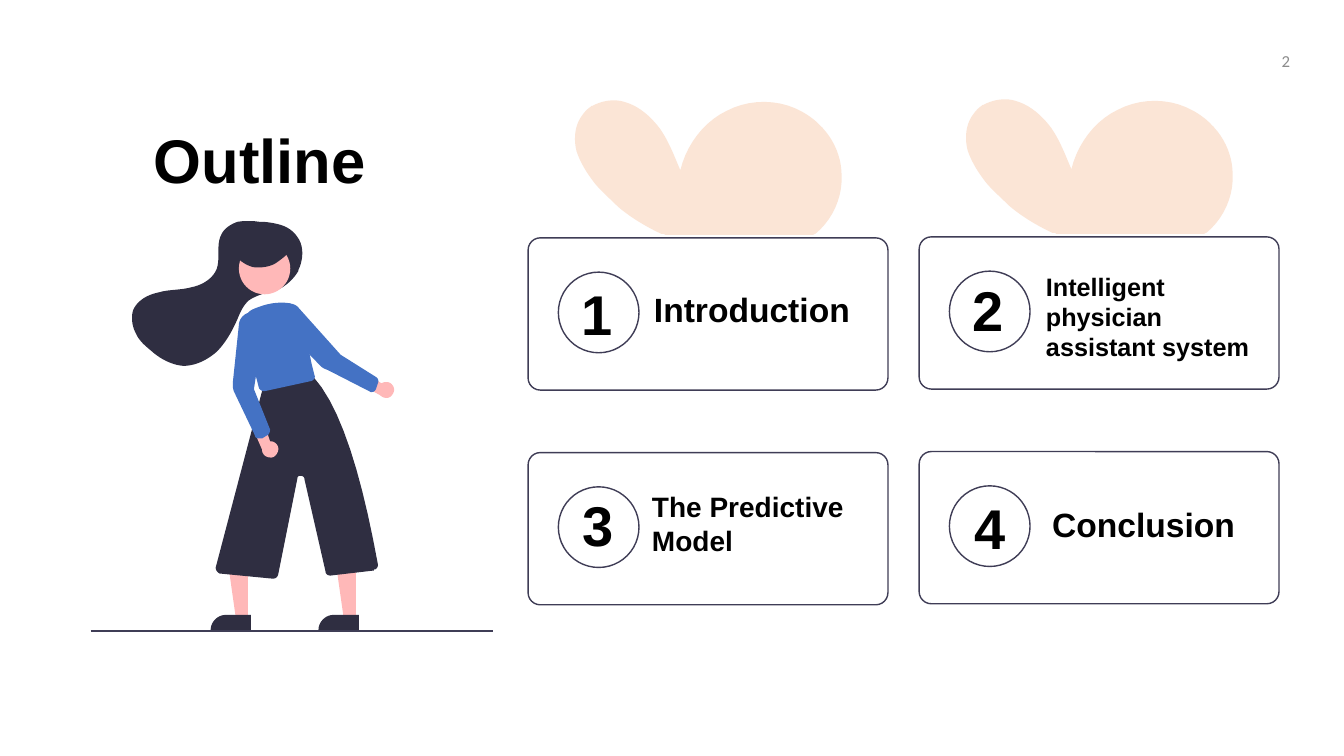
from pptx import Presentation
from pptx.dml.color import RGBColor
from pptx.enum.shapes import MSO_CONNECTOR, MSO_SHAPE
from pptx.enum.text import MSO_ANCHOR, PP_ALIGN
from pptx.util import Cm, Pt
from lxml.etree import SubElement
from pptx.oxml.ns import qn

COLORS = {"peach": "FBE5D6", "outline": "3F3D56", "dark": "2F2E41", "skin": "FFB8B8",
          "blue": "4472C4", "black": "000000", "gray": "8C8C8C"}

# Places are in inches; a pair is a line end, six numbers are a Bezier curve
TITLE = "Outline"
PAGE_NUMBER = "2"
# number, its place, label lines, label size, label place and size
CARDS = [
    ("1", (5.67, 2.72), ["Introduction"], 24, (6.39, 2.82, 2.23, 0.5)),
    ("2", (9.55, 2.68), ["Intelligent", "physician", "assistant system"], 18,
     (10.28, 2.64, 2.23, 1.01)),
    ("3", (5.68, 4.82), ["The Predictive Model"], 20, (6.37, 4.81, 2.68, 0.77)),
    ("4", (9.57, 4.85), ["Conclusion"], 24, (10.34, 4.95, 2.23, 0.5)),
]
CARD_LEFT, CARD_TOP, CARD_WIDTH, CARD_HEIGHT = 5.24, 2.36, 3.57, 1.51
COLUMN_STEP, ROW_STEP, COLUMN_RISE = 3.88, 2.13, -0.01
CIRCLE_INSET, CIRCLE_SIZE = (0.3, 0.34), 0.8

BLOB = [
    (8.09, 2.32), (8.09, 2.32, 8.08, 2.32, 8.07, 2.33), (6.6, 2.33),
    (6.59, 2.32, 6.58, 2.32, 6.56, 2.32), (6.41, 2.25, 6.26, 2.16, 6.13, 2.05),
    (6.05, 1.97, 5.97, 1.9, 5.91, 1.83), (5.83, 1.73, 5.76, 1.62, 5.72, 1.5),
    (5.69, 1.38, 5.7, 1.24, 5.78, 1.14), (5.8, 1.11, 5.83, 1.08, 5.86, 1.06),
    (5.87, 1.05, 5.87, 1.05, 5.88, 1.05), (5.97, 1, 6.09, 0.98, 6.19, 1.01),
    (6.34, 1.05, 6.46, 1.16, 6.55, 1.28), (6.64, 1.41, 6.69, 1.55, 6.75, 1.69),
    (6.81, 1.44, 6.98, 1.21, 7.21, 1.1), (7.44, 0.98, 7.73, 0.98, 7.96, 1.11),
    (8.03, 1.15, 8.1, 1.2, 8.15, 1.26), (8.16, 1.26, 8.16, 1.27, 8.17, 1.28),
    (8.28, 1.4, 8.35, 1.57, 8.35, 1.74), (8.36, 1.96, 8.26, 2.18, 8.09, 2.32)]
HAIR = [
    (2.96, 2.68), (3.01, 2.58, 3.02, 2.44, 2.95, 2.35), (2.91, 2.29, 2.85, 2.25, 2.78, 2.23),
    (2.71, 2.21, 2.64, 2.2, 2.57, 2.2), (2.5, 2.19, 2.43, 2.19, 2.36, 2.2),
    (2.3, 2.22, 2.23, 2.26, 2.2, 2.32), (2.14, 2.42, 2.19, 2.56, 2.15, 2.67),
    (2.11, 2.77, 2, 2.83, 1.9, 2.85), (1.79, 2.88, 1.68, 2.87, 1.58, 2.9),
    (1.47, 2.92, 1.36, 2.98, 1.32, 3.08), (1.3, 3.15, 1.31, 3.24, 1.35, 3.31),
    (1.38, 3.38, 1.44, 3.43, 1.5, 3.48), (1.59, 3.56, 1.7, 3.62, 1.82, 3.63),
    (1.94, 3.63, 2.06, 3.57, 2.15, 3.49), (2.24, 3.4, 2.3, 3.29, 2.35, 3.18),
    (2.38, 3.11, 2.41, 3.03, 2.47, 2.98), (2.51, 2.95, 2.57, 2.93, 2.62, 2.91),
    (2.69, 2.9), (2.8, 2.87, 2.9, 2.79, 2.96, 2.69)]
LEG = [(2.46, 6.13), (2.34, 6.13), (2.27, 5.64), (2.46, 5.64)]
SHOE = [(2.24, 6.1), (2.49, 6.1), (2.49, 6.25), (2.09, 6.25), (2.09, 6.17, 2.16, 6.1, 2.24, 6.1)]
LEG_STEP = 1.07
TROUSERS = [
    (2.71, 5.74), (2.7, 5.74), (2.18, 5.69), (2.16, 5.68, 2.14, 5.66, 2.14, 5.63),
    (2.6, 3.88), (2.61, 3.86, 2.62, 3.85, 2.64, 3.84), (3.06, 3.72),
    (3.08, 3.72, 3.1, 3.72, 3.11, 3.74), (3.39, 4.05, 3.59, 4.73, 3.75, 5.6),
    (3.75, 5.62, 3.74, 5.65, 3.71, 5.65), (3.71, 5.66), (3.28, 5.71),
    (3.26, 5.71, 3.23, 5.7, 3.23, 5.67), (3.02, 4.75), (3.02, 4.73, 3, 4.72, 2.98, 4.72),
    (2.96, 4.72, 2.95, 4.73, 2.95, 4.75), (2.76, 5.7), (2.75, 5.73, 2.73, 5.74, 2.71, 5.74)]
HEAD = (2.37, 2.41, 0.51, 0.51)
TORSO = [
    (2.62, 3.88), (2.6, 3.88, 2.58, 3.87, 2.57, 3.85), (2.42, 3.27),
    (2.4, 3.18, 2.44, 3.09, 2.53, 3.06), (2.65, 3.01, 2.77, 2.99, 2.88, 3.01),
    (2.97, 3.02, 3.09, 3.59, 3.09, 3.6), (3.12, 3.72), (3.13, 3.74, 3.12, 3.77, 3.09, 3.78),
    (2.63, 3.88)]
LEFT_HAND = [
    (2.76, 4.47), (2.77, 4.43, 2.74, 4.39, 2.7, 4.38), (2.68, 4.38), (2.59, 4.11),
    (2.5, 4.23), (2.6, 4.46), (2.6, 4.51, 2.64, 4.54, 2.69, 4.54),
    (2.72, 4.54, 2.75, 4.51, 2.76, 4.47)]
RIGHT_HAND = [
    (3.9, 3.83), (3.88, 3.79, 3.83, 3.78, 3.79, 3.8), (3.78, 3.8), (3.55, 3.65),
    (3.55, 3.8), (3.77, 3.92), (3.8, 3.95, 3.85, 3.96, 3.88, 3.93),
    (3.91, 3.9, 3.92, 3.86, 3.9, 3.83)]
LEFT_ARM = [
    (2.57, 4.35), (2.55, 4.35, 2.53, 4.34, 2.53, 4.32), (2.32, 3.88),
    (2.31, 3.85, 2.31, 3.82, 2.31, 3.8), (2.37, 3.23), (2.37, 3.16, 2.43, 3.1, 2.49, 3.1),
    (2.56, 3.1, 2.61, 3.15, 2.62, 3.21), (2.52, 3.86), (2.68, 4.26),
    (2.68, 4.29, 2.67, 4.31, 2.65, 4.32), (2.6, 4.35)]
RIGHT_ARM = [
    (3.68, 3.89), (3.66, 3.88), (3.25, 3.67), (3.22, 3.66, 3.2, 3.65, 3.18, 3.63),
    (2.78, 3.22), (2.73, 3.17, 2.73, 3.09, 2.78, 3.05), (2.82, 3, 2.9, 3, 2.95, 3.04),
    (3.38, 3.52), (3.73, 3.74), (3.75, 3.75, 3.76, 3.78, 3.75, 3.8), (3.73, 3.86),
    (3.72, 3.88, 3.71, 3.89, 3.68, 3.89)]
FRINGE = [
    (2.34, 2.54), (2.38, 2.59, 2.44, 2.63, 2.51, 2.65), (2.58, 2.66, 2.66, 2.65, 2.72, 2.62),
    (2.77, 2.59, 2.82, 2.55, 2.86, 2.51), (2.87, 2.49, 2.89, 2.47, 2.89, 2.45),
    (2.89, 2.41, 2.85, 2.39, 2.81, 2.38), (2.68, 2.36, 2.56, 2.37, 2.44, 2.42),
    (2.39, 2.45, 2.34, 2.49, 2.35, 2.54)]
GROUND = (0.9, 4.89, 6.26)
CURVE_STEPS = 10

presentation = Presentation()
presentation.slide_width, presentation.slide_height = Cm(33.87), Cm(19.05)
slide = presentation.slides.add_slide(presentation.slide_layouts[6])
shapes = slide.shapes


def inches(value):
    return Cm(value * 2.54)


def color(name):
    return RGBColor.from_string(COLORS[name])


def paint(shape, fill=None, line=None):
    shape.shadow.inherit = False
    for part, name in ((shape.fill, fill), (shape.line.fill, line)):
        if name:
            part.solid()
            part.fore_color.rgb = color(name)
        else:
            part.background()
    if line:
        shape.line.width = Pt(1)


def add_preset(kind, box, fill=None, line=None):
    shape = shapes.add_shape(kind, *map(inches, box))
    paint(shape, fill, line)
    return shape


def add_outline(segments, fill, dx=0, dy=0):
    points = [segments[0]]
    for segment in segments[1:]:
        if len(segment) == 2:
            points.append(segment)
            continue
        x0, y0 = points[-1]
        x1, y1, x2, y2, x3, y3 = segment
        for step in range(1, CURVE_STEPS + 1):
            t = step / CURVE_STEPS
            a, b, c, d = (1 - t) ** 3, 3 * t * (1 - t) ** 2, 3 * t * t * (1 - t), t ** 3
            points.append((a * x0 + b * x1 + c * x2 + d * x3, a * y0 + b * y1 + c * y2 + d * y3))
    points = [(inches(x + dx), inches(y + dy)) for x, y in points]
    builder = shapes.build_freeform(*points[0])
    builder.add_line_segments(points[1:], close=True)
    paint(builder.convert_to_shape(), fill)


def add_text(box, lines, size, name="black", font="Arial", bold=True,
             align=PP_ALIGN.LEFT, anchor=MSO_ANCHOR.TOP):
    frame = shapes.add_textbox(*map(inches, box)).text_frame
    frame.word_wrap = True
    frame.vertical_anchor = anchor
    frame.text = "\n".join(lines)
    for paragraph in frame.paragraphs:
        paragraph.alignment = align
        paragraph.font.name, paragraph.font.size = font, Pt(size)
        paragraph.font.bold = bold
        paragraph.font.color.rgb = color(name)


# Title and page number
add_text((0.58, 0.85, 4, 1.45), [TITLE], 44, align=PP_ALIGN.CENTER, anchor=MSO_ANCHOR.MIDDLE)
add_text((9.9, 0.4, 3, 0.4), [PAGE_NUMBER], 12, "gray", "Calibri", False,
         PP_ALIGN.RIGHT, MSO_ANCHOR.MIDDLE)

# Cards, with a blob above each column
for index, (number, number_place, label, size, label_box) in enumerate(CARDS):
    row, column = divmod(index, 2)
    dx, dy = column * COLUMN_STEP, column * COLUMN_RISE
    left, top = CARD_LEFT + dx, CARD_TOP + dy + row * ROW_STEP
    if row == 0:
        add_outline(BLOB, "peach", dx, dy)
    card = add_preset(MSO_SHAPE.ROUNDED_RECTANGLE, (left, top, CARD_WIDTH, CARD_HEIGHT),
                      line="outline")
    card.adjustments[0] = 0.08
    add_preset(MSO_SHAPE.OVAL, (left + CIRCLE_INSET[0], top + CIRCLE_INSET[1],
                                CIRCLE_SIZE, CIRCLE_SIZE), line="outline")
    add_text((*number_place, 0.54, 0.77), [number], 40)
    add_text(label_box, label, size)

# Walking woman
add_outline(HAIR, "dark")
for shift in (0, LEG_STEP):
    add_outline(LEG, "skin", shift)
    add_outline(SHOE, "dark", shift)
add_outline(TROUSERS, "dark")
add_preset(MSO_SHAPE.OVAL, HEAD, "skin")
for segments, fill in ((TORSO, "blue"), (LEFT_HAND, "skin"), (RIGHT_HAND, "skin"),
                       (LEFT_ARM, "blue"), (RIGHT_ARM, "blue"), (FRINGE, "dark")):
    add_outline(segments, fill)

# Ground line
start, end, level = map(inches, GROUND)
ground = shapes.add_connector(MSO_CONNECTOR.STRAIGHT, start, level, end, level)
ground.line.color.rgb = color("outline")
ground.line.width = Pt(1.5)
SubElement(ground.element.spPr, qn("a:effectLst"))

presentation.save("out.pptx")
